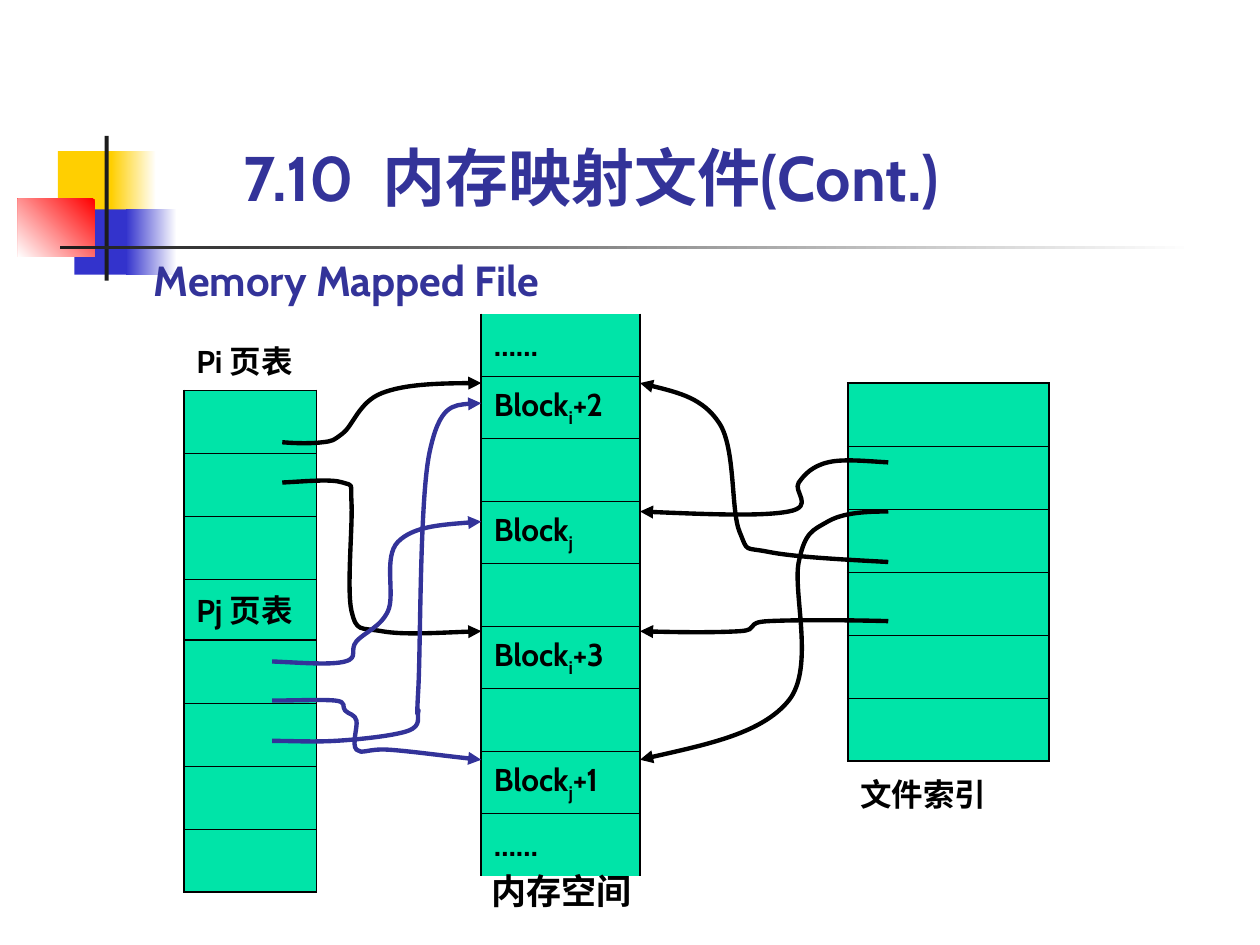
from lxml import etree
from pptx import Presentation
from pptx.dml.color import RGBColor
from pptx.enum.shapes import MSO_SHAPE
from pptx.enum.text import MSO_ANCHOR, MSO_AUTO_SIZE, PP_ALIGN
from pptx.oxml.ns import qn
from pptx.util import Cm, Pt

RECTANGLE = MSO_SHAPE.RECTANGLE
TOP, MIDDLE, BOTTOM = MSO_ANCHOR.TOP, MSO_ANCHOR.MIDDLE, MSO_ANCHOR.BOTTOM
LEFT = PP_ALIGN.LEFT
GROW = MSO_AUTO_SIZE.SHAPE_TO_FIT_TEXT

WHITE = RGBColor.from_string("FFFFFF")
BLACK = RGBColor.from_string("000000")
CHARCOAL = RGBColor.from_string("1C1C1C")
YELLOW = RGBColor.from_string("FFCF01")
BLUE = RGBColor.from_string("3333CC")
RED = RGBColor.from_string("FF0000")
INDIGO = RGBColor.from_string("333399")
GREEN = RGBColor.from_string("00E4A8")

FONT = "Cabin"
OUTER, INNER, NO_LINE = Pt(1.08), Pt(0.45), 0
CURVE_UNIT = Cm(0.0254)

MEMORY_BLOCKS = ["……", "Block|i|+2", "", "Block|j", "", "Block|i|+3", "", "Block|j|+1", "……"]

MAPPING_GROUPS = [
    (BLACK, 224, 382, [
        (351, [(256, 351), (272, 344), (303, 312)], 304),
        (383, [(272, 383), (279, 399), (279, 485), (303, 501)], 501),
    ]),
    (INDIGO, 216, 382, [
        (525, [(274, 525), (283, 509), (308, 485), (316, 430)], 414),
        (556, [(266, 556), (274, 564), (283, 572), (283, 595), (308, 595)], 603),
        (588, [(266, 588), (324, 580), (332, 564), (332, 548), (341, 359)], 320),
    ]),
    (BLACK, 705, 508, [
        (367, [(657, 367), (634, 383), (626, 406)], 406),
        (406, [(657, 414), (634, 446), (626, 556)], 603),
        (446, [(610, 438), (587, 422), (571, 336)], 304),
        (493, [(610, 493), (587, 501)], 501),
    ]),
]


def format_span(span, size, color, font=FONT):
    span.font.name = font
    span.font.size = Pt(size)
    span.font.bold = True
    span.font.color.rgb = color


def fill_text_box(box, bounds, text, size, color, anchor=TOP, font=FONT):
    box.left, box.top, box.width, box.height = [Cm(value) for value in bounds]
    frame = box.text_frame
    frame.text = text
    frame.word_wrap = True
    frame.auto_size = GROW
    frame.vertical_anchor = anchor
    frame.margin_left = frame.margin_right = frame.margin_top = frame.margin_bottom = 0
    para = frame.paragraphs[0]
    para.alignment = LEFT
    format_span(para.runs[0], size, color, font)


def add_label(page, bounds, text, size, color, anchor=TOP, font=FONT):
    box = page.shapes.add_textbox(0, 0, 0, 0)
    fill_text_box(box, bounds, text, size, color, anchor, font)


def add_decoration(page, bounds, colors, angle=180):
    box = page.shapes.add_shape(RECTANGLE, *[Cm(value) for value in bounds])
    box.shadow.inherit = False
    box.line.fill.background()
    if len(colors) == 1:
        box.fill.solid()
        box.fill.fore_color.rgb = colors[0]
        return
    box.fill.gradient()
    box.fill.gradient_angle = angle
    for stop, color in zip(box.fill.gradient_stops, colors):
        stop.color.rgb = color


def add_decorations(page):
    for color, left, top, fade_left, fade_width in [(YELLOW, 1.17, 3.05, 2.24, 0.91),
                                                    (BLUE, 1.5, 4.22, 2.54, 1.02)]:
        add_decoration(page, (left, top, 1.2, 1.32), [color])
        add_decoration(page, (fade_left, top, fade_width, 1.32), [WHITE, color])
    add_decoration(page, (0.36, 4.01, 1.55, 1.17), [RED, WHITE], angle=225)
    add_decoration(page, (2.11, 2.74, 0.08, 2.92), [CHARCOAL])
    add_decoration(page, (1.22, 4.95, 22.86, 0.08), [WHITE, CHARCOAL])


def set_borders(cell, left, right, top, bottom):
    properties = cell._tc.get_or_add_tcPr()
    widths = {"a:lnL": left, "a:lnR": right, "a:lnT": top, "a:lnB": bottom}
    for position, (tag, width) in enumerate(widths.items()):
        border = etree.Element(qn(tag), w=str(int(width)))
        if width:
            paint = etree.SubElement(border, qn("a:solidFill"))
            etree.SubElement(paint, qn("a:srgbClr"), val=str(BLACK))
        else:
            etree.SubElement(border, qn("a:noFill"))
        properties.insert(position, border)


def write_cell(cell, text):
    cell.vertical_anchor = MIDDLE
    para = cell.text_frame.paragraphs[0]
    for position, part in enumerate(text.split("|") if text else []):
        span = para.add_run()
        span.text = part
        format_span(span, 18, BLACK)
        if position == 1:
            span._r.get_or_add_rPr().set("baseline", "-25000")


def add_column(page, left, top, width, row_height, texts, edge=OUTER, caption=None):
    count = len(texts)
    rows = texts + ([caption] if caption else [])
    table = page.shapes.add_table(len(rows), 1, Cm(left), Cm(top), Cm(width),
                                  Cm(row_height * len(rows))).table
    table.first_row = False
    table.horz_banding = False
    for index, text in enumerate(rows):
        table.rows[index].height = Cm(row_height)
        cell = table.cell(index, 0)
        write_cell(cell, text)
        if index == count:
            cell.fill.background()
            set_borders(cell, NO_LINE, NO_LINE, OUTER, NO_LINE)
            continue
        cell.fill.solid()
        cell.fill.fore_color.rgb = GREEN
        set_borders(cell, OUTER, OUTER, edge if index == 0 else INNER,
                    edge if index == count - 1 else INNER)


def shift(point, start, end, share):
    return tuple(round(p + (e - s) * share) for p, s, e in zip(point, start, end))


def smooth_points(knots):
    last = len(knots) - 1
    points = [knots[0]]
    for index in range(last):
        start, end = knots[index], knots[index + 1]
        leave = arrive = None
        if index > 0:
            leave = shift(start, knots[index - 1], end, 1 / 6)
        if index + 1 < last:
            arrive = shift(end, start, knots[index + 2], -1 / 6)
        leave = leave or shift(start, start, arrive, 1 / 2)
        arrive = arrive or shift(end, end, leave, 1 / 2)
        points += [leave, arrive, end]
    return points


def add_mapping(page, color, knots):
    points = smooth_points(knots)
    builder = page.shapes.build_freeform(*points[0], scale=CURVE_UNIT)
    builder.add_line_segments(points[1:], close=False)
    arrow = builder.convert_to_shape()
    outline = arrow._element.find(".//" + qn("a:path"))
    segments = outline.findall(qn("a:lnTo"))
    for start in range(0, len(segments), 3):
        curve = etree.SubElement(outline, qn("a:cubicBezTo"))
        for segment in segments[start:start + 3]:
            curve.append(segment[0])
            outline.remove(segment)
    arrow.shadow.inherit = False
    arrow.fill.background()
    arrow.line.color.rgb = color
    arrow.line.width = Pt(2.5)
    etree.SubElement(arrow.line._get_or_add_ln(), qn("a:tailEnd"), type="triangle")


def main():
    deck = Presentation()
    deck.slide_width, deck.slide_height = Cm(25.4), Cm(19.05)
    page = deck.slides.add_slide(deck.slide_layouts[5])
    add_decorations(page)
    fill_text_box(page.shapes.title, (4.9, 2.79, 16.21, 1.52),
                  "7.10  内存映射文件(Cont.)", 36, INDIGO, BOTTOM)
    add_label(page, (3.1, 5.13, 8.99, 1.02), "Memory Mapped File", 24, INDIGO, BOTTOM)
    for text, table_top in [("Pi 页表", 7.87), ("Pj 页表", 12.9)]:
        add_column(page, 3.71, table_top, 2.67, 1.27, [""] * 4)
        add_label(page, (3.96, table_top - 0.98, 2.54, 0.76), text, 18, BLACK)
    add_column(page, 9.7, 6.32, 3.2, 1.26, MEMORY_BLOCKS, edge=NO_LINE)
    add_column(page, 17.09, 7.72, 4.06, 1.27, [""] * 6, caption="文件索引")
    for color, start_x, end_x, routes in MAPPING_GROUPS:
        for start_y, bends, end_y in routes:
            add_mapping(page, color, [(start_x, start_y), *bends, (end_x, end_y)])
    add_label(page, (9.91, 17.53, 3, 0.84), "内存空间", 20, BLACK, font="Times New Roman")
    deck.save("out.pptx")


if __name__ == "__main__":
    main()
